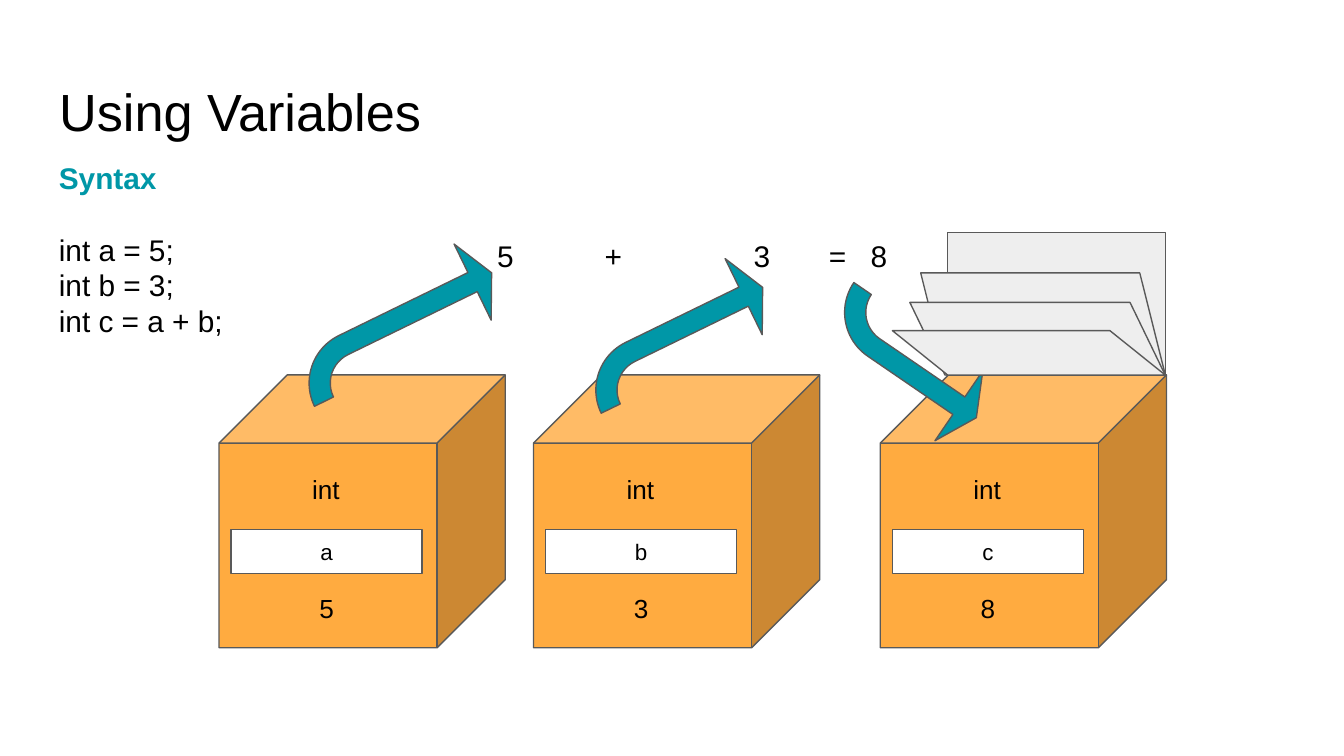
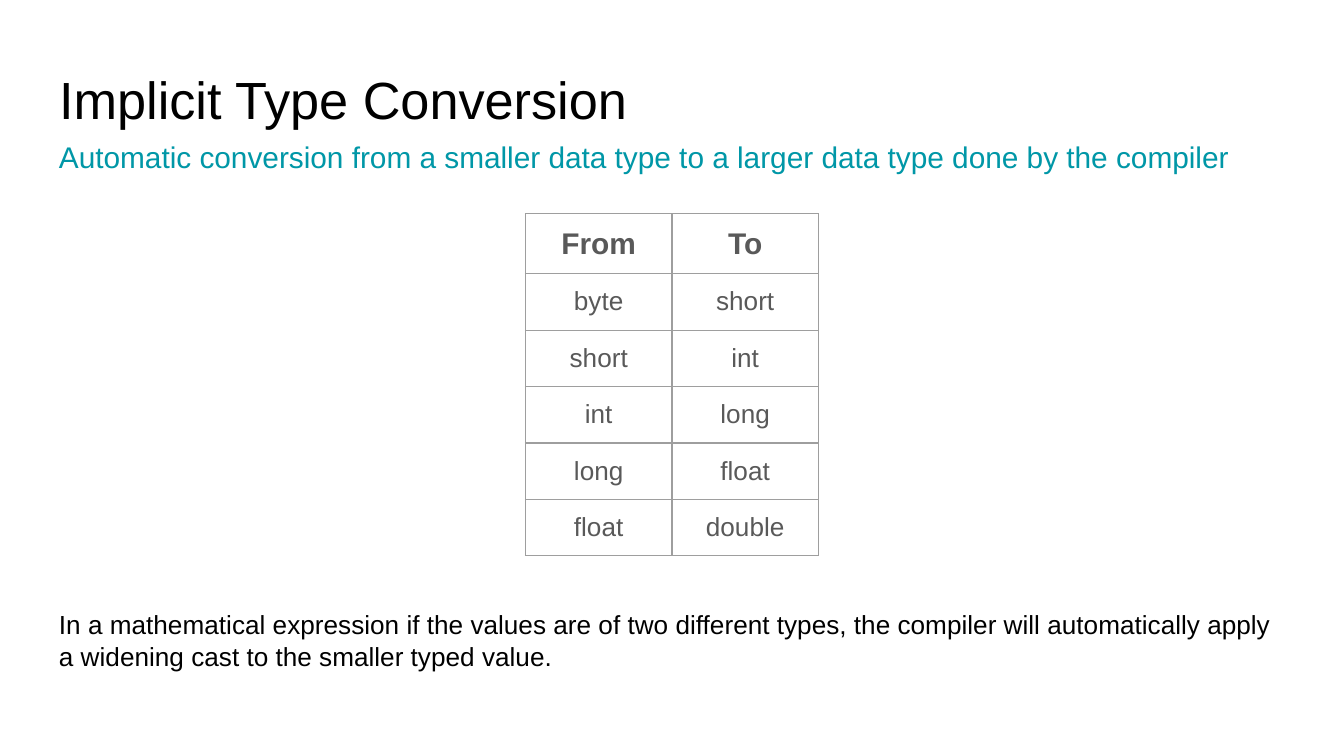
from dataclasses import dataclass

from lxml import etree
from pptx import Presentation
from pptx.dml.color import RGBColor
from pptx.enum.shapes import MSO_SHAPE
from pptx.enum.text import MSO_ANCHOR, PP_ALIGN
from pptx.oxml.ns import qn
from pptx.util import Emu, Pt

RECTANGLE = MSO_SHAPE.RECTANGLE
CUBE = MSO_SHAPE.CUBE
PARALLELOGRAM = MSO_SHAPE.PARALLELOGRAM
BENT_ARROW = MSO_SHAPE.BENT_ARROW
LEFT, CENTER = PP_ALIGN.LEFT, PP_ALIGN.CENTER
TOP, MIDDLE = MSO_ANCHOR.TOP, MSO_ANCHOR.MIDDLE
TITLE_ONLY = 5
EMU_PER_PX = 9144  # 100 px to the inch


@dataclass(frozen=True)
class Theme:
    font: str = "Arial"
    black: str = "000000"
    white: str = "FFFFFF"
    teal: str = "0097A7"
    orange: str = "FFAB40"
    pale: str = "EEEEEE"
    gray: str = "595959"
    border: str = "9E9E9E"
    title: int = 28
    body: int = 16
    small: int = 14
    tag: int = 12
    line: float = 0.75
    heading_gap: int = 19


THEME = Theme()
SLIDE_WIDTH = 1000
MARGIN, TEXT_WIDTH, INSET = 34, 932, 10

# Slide 1
VARIABLES_TITLE = "Using Variables"
SYNTAX = ["Syntax", "int a = 5;", "int b = 3;", "int c = a + b;"]
EQUATION = ["5", "+", "3", "=", "8"]
EQUATION_TABS = [80, 191, 247, 278]
# left edge, type, name, value
VARIABLES = [(163, "int", "a", "5"), (397, "int", "b", "3"), (655, "int", "c", "8")]
BOX_TOP, BOX_WIDTH, BOX_HEIGHT = 279, 213, 203
# width, height, slant; all meet at the back right corner of the open box
FLAPS = [(162, 106, 0), (182, 76, 0.25), (190, 54, 0.484), (203, 33, 1.247)]
FLAP_RIGHT = 867
# frame, rotation, mirrored
ARROWS = [
    ((212, 207, 162, 63), 334, False),
    ((426, 215, 149, 63), 334, False),
    ((606, 242, 132, 63), 214.4, True),
]

# Slide 2
CONVERSION_TITLE = "Implicit Type Conversion"
CONVERSION_SUMMARY = ("Automatic conversion from a smaller data type to a larger "
                      "data type done by the compiler")
CONVERSIONS = [
    ("From", "To"),
    ("byte", "short"),
    ("short", "int"),
    ("int", "long"),
    ("long", "float"),
    ("float", "double"),
]
TABLE_LEFT, TABLE_TOP, COLUMN_WIDTH, ROW_HEIGHT = 391, 159, 109, 42
CELL_BOTTOM_INSET = 8
CONVERSION_NOTE = ("In a mathematical expression if the values are of two different "
                   "types, the compiler will automatically apply a widening cast to "
                   "the smaller typed value.")


def px(length):
    return Emu(length * EMU_PER_PX)


def frame_emu(frame):
    return [px(length) for length in frame]


def color(code):
    return RGBColor.from_string(code)


def format_para(para, size, code=THEME.black, bold=False, align=LEFT):
    para.alignment = align
    para.line_spacing = 1.0
    for span in para.runs:
        span.font.name = THEME.font
        span.font.size = Pt(size)
        span.font.bold = bold
        span.font.color.rgb = color(code)


def write(box, text, size, code=THEME.black, align=LEFT, anchor=TOP):
    frame = box.text_frame
    frame.word_wrap = True
    frame.vertical_anchor = anchor
    frame.margin_left = frame.margin_right = px(INSET)
    frame.margin_top = frame.margin_bottom = px(INSET)
    frame.text = text
    for para in frame.paragraphs:
        format_para(para, size, code, align=align)
    return frame


def add_text(slide, frame, text, size, **style):
    return write(slide.shapes.add_textbox(*frame_emu(frame)), text, size, **style)


def add_preset(slide, preset, frame, fill, adjust=(), rotation=0, mirrored=False):
    shape = slide.shapes.add_shape(preset, *frame_emu(frame))
    shape.shadow.inherit = False
    shape.fill.solid()
    shape.fill.fore_color.rgb = color(fill)
    shape.line.color.rgb = color(THEME.gray)
    shape.line.width = Pt(THEME.line)
    for index, value in enumerate(adjust):
        shape.adjustments[index] = value
    shape.rotation = rotation
    if mirrored:
        shape._element.spPr.find(qn("a:xfrm")).set("flipH", "1")
    return shape


def add_titled_slide(deck, title, top):
    slide = deck.slides.add_slide(deck.slide_layouts[TITLE_ONLY])
    box = slide.shapes.title
    box.left, box.top, box.width, box.height = frame_emu((MARGIN, top, TEXT_WIDTH, 63))
    write(box, title, THEME.title)
    return slide


def add_syntax(slide):
    frame = add_text(slide, (MARGIN, 109, 203, 159), "\n".join(SYNTAX), THEME.body)
    heading = frame.paragraphs[0]
    format_para(heading, THEME.body, THEME.teal, bold=True)
    heading.space_after = Pt(THEME.heading_gap)


def add_equation(slide):
    frame = add_text(slide, (360, 167, 317, 54), "\t".join(EQUATION), THEME.body)
    properties = frame.paragraphs[0]._p.get_or_add_pPr()
    tabs = etree.SubElement(properties, qn("a:tabLst"))
    for position in EQUATION_TABS:
        etree.SubElement(tabs, qn("a:tab"), pos=str(px(position)), algn="l")


def add_variable(slide, left, kind, name, value):
    """Draw a box with its type, name tag and stored value."""
    add_preset(slide, CUBE, (left, BOX_TOP, BOX_WIDTH, BOX_HEIGHT), THEME.orange, [0.25])
    tag = add_preset(slide, RECTANGLE, (left + 9, 394, 142, 33), THEME.white)
    write(tag, name, THEME.tag, align=CENTER, anchor=MIDDLE)
    add_text(slide, (left + 40, 342, 79, 44), kind, THEME.small, align=CENTER)
    add_text(slide, (left + 53, 431, 54, 47), value, THEME.small, align=CENTER)


def add_flap(slide, width, height, slant):
    frame = (FLAP_RIGHT - width, BOX_TOP - height, width, height)
    if slant:
        add_preset(slide, PARALLELOGRAM, frame, THEME.pale, [slant], 180, True)
    else:
        add_preset(slide, RECTANGLE, frame, THEME.pale)


def add_borders(cell):
    properties = cell._tc.get_or_add_tcPr()
    for index, side in enumerate(("lnL", "lnR", "lnT", "lnB")):
        line = etree.Element(qn(f"a:{side}"), w=str(Pt(THEME.line)))
        fill = etree.SubElement(line, qn("a:solidFill"))
        etree.SubElement(fill, qn("a:srgbClr"), val=THEME.border)
        properties.insert(index, line)


def add_conversion_table(slide):
    rows, columns = len(CONVERSIONS), len(CONVERSIONS[0])
    frame = (TABLE_LEFT, TABLE_TOP, columns * COLUMN_WIDTH, rows * ROW_HEIGHT)
    table = slide.shapes.add_table(rows, columns, *frame_emu(frame)).table
    for row, names in enumerate(CONVERSIONS):
        header = row == 0
        for column, name in enumerate(names):
            cell = table.cell(row, column)
            cell.text = name
            cell.margin_left = cell.margin_right = cell.margin_top = px(INSET)
            cell.margin_bottom = px(CELL_BOTTOM_INSET)
            cell.fill.background()
            add_borders(cell)
            format_para(cell.text_frame.paragraphs[0],
                        THEME.body if header else THEME.small,
                        THEME.gray, bold=header, align=CENTER)


def build_variables_slide(deck):
    slide = add_titled_slide(deck, VARIABLES_TITLE, 49)
    add_syntax(slide)
    add_equation(slide)
    for variable in VARIABLES:
        add_variable(slide, *variable)
    for flap in FLAPS[:2]:
        add_flap(slide, *flap)
    for frame, rotation, mirrored in ARROWS:
        add_preset(slide, BENT_ARROW, frame, THEME.teal,
                   [0.25, 0.5, 0.25, 0.875], rotation, mirrored)
    for flap in FLAPS[2:]:
        add_flap(slide, *flap)


def build_conversion_slide(deck):
    slide = add_titled_slide(deck, CONVERSION_TITLE, 40)
    add_text(slide, (MARGIN, 93, TEXT_WIDTH, 63), CONVERSION_SUMMARY,
             THEME.body, code=THEME.teal)
    add_conversion_table(slide)
    add_text(slide, (MARGIN, 443, TEXT_WIDTH, 71), CONVERSION_NOTE, THEME.small)


def main():
    deck = Presentation()
    deck.slide_width = px(SLIDE_WIDTH)
    deck.slide_height = Emu(deck.slide_width * 9 // 16)
    build_variables_slide(deck)
    build_conversion_slide(deck)
    deck.save("out.pptx")


if __name__ == "__main__":
    main()
